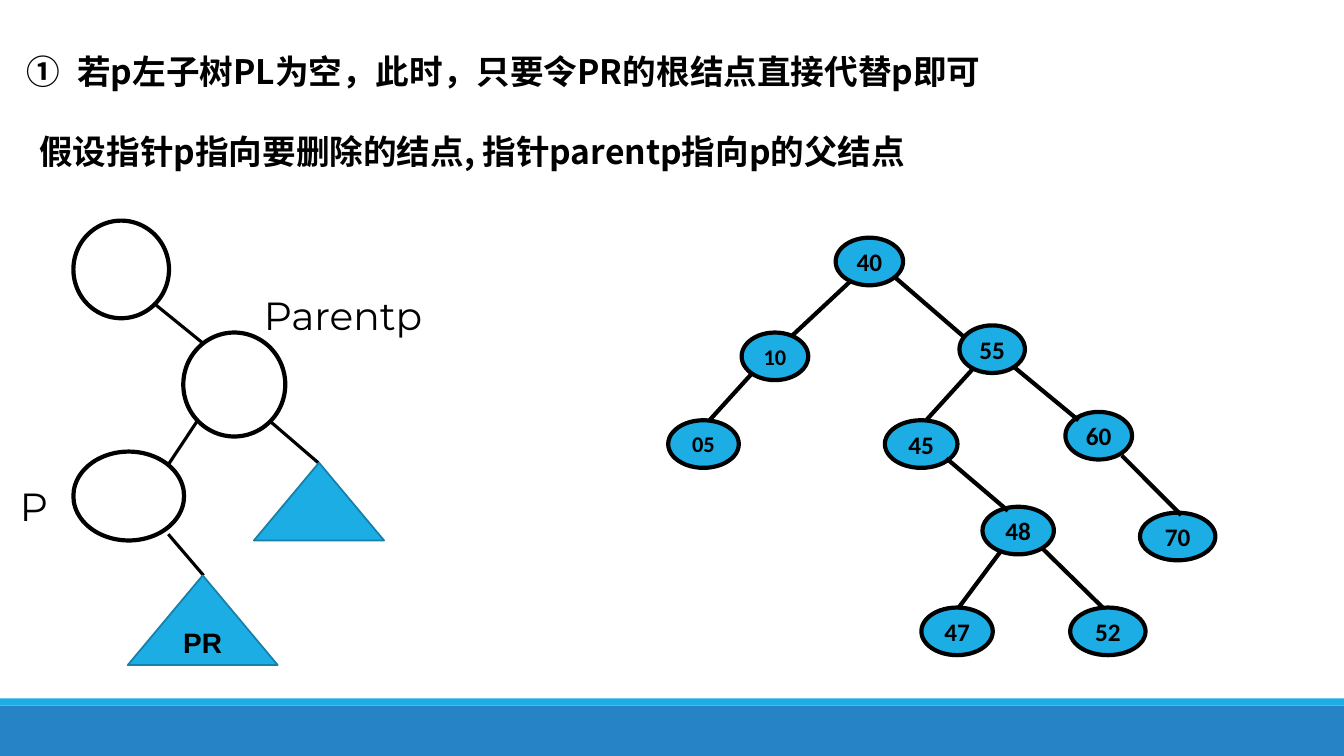
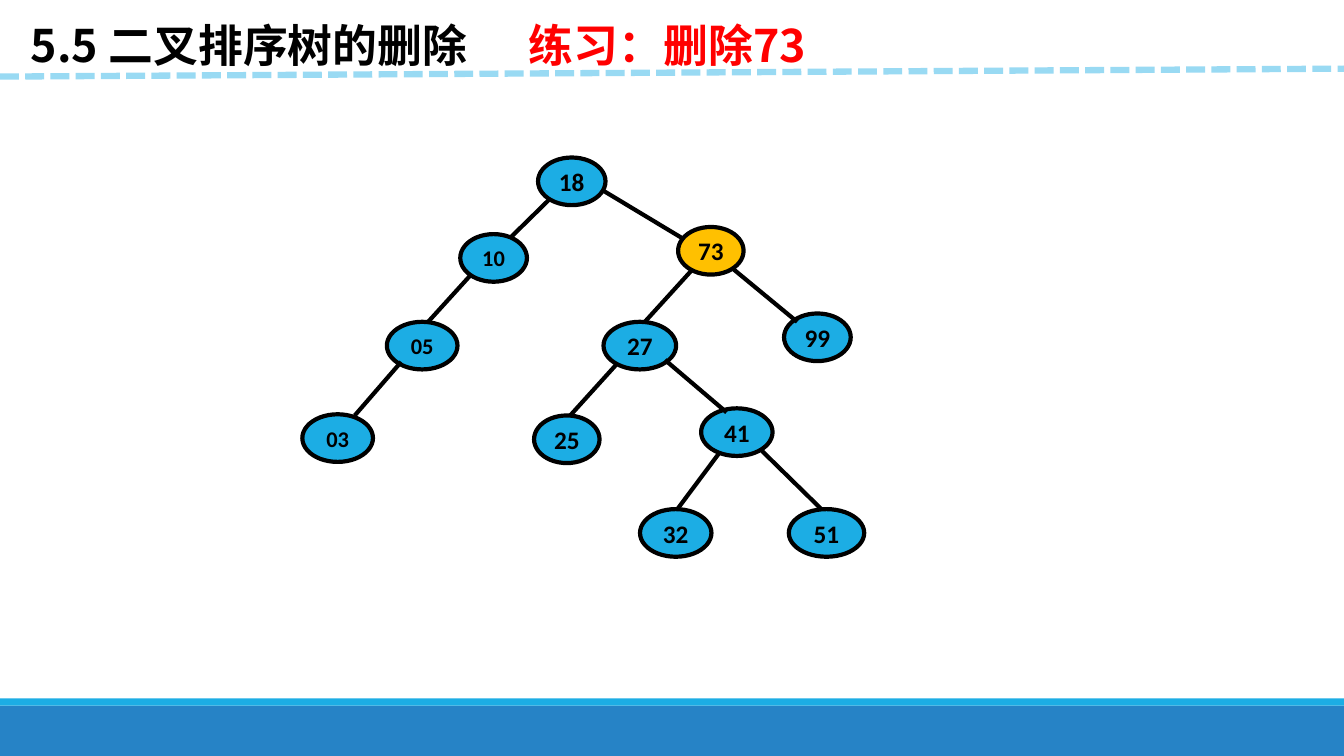
from lxml import etree
from pptx import Presentation
from pptx.dml.color import RGBColor
from pptx.enum.dml import MSO_LINE
from pptx.enum.shapes import MSO_CONNECTOR, MSO_SHAPE
from pptx.enum.text import MSO_ANCHOR, PP_ALIGN
from pptx.oxml.ns import qn
from pptx.util import Cm, Pt

RECT, OVAL = MSO_SHAPE.RECTANGLE, MSO_SHAPE.OVAL
PEAK = MSO_SHAPE.ISOSCELES_TRIANGLE
STRAIGHT = MSO_CONNECTOR.STRAIGHT
DASH = MSO_LINE.SQUARE_DOT
MID, TOP = MSO_ANCHOR.MIDDLE, MSO_ANCHOR.TOP
LEFT, CENTER, FULL = PP_ALIGN.LEFT, PP_ALIGN.CENTER, PP_ALIGN.JUSTIFY

BLACK = RGBColor(0x00, 0x00, 0x00)
WHITE = RGBColor(0xFF, 0xFF, 0xFF)
RED = RGBColor(0xFF, 0x00, 0x00)
GOLD = RGBColor(0xFF, 0xC0, 0x00)
SKY = RGBColor(0x1C, 0xAD, 0xE4)
BLUE = RGBColor(0x26, 0x83, 0xC6)
TEAL = RGBColor(0x15, 0x80, 0xA9)
PALE = RGBColor(0x99, 0xDA, 0xF3)

HAN = "Noto Sans CJK SC"
WIDE, HIGH = 33.87, 19.05
NODE_H = 1.2
SMALL = {"03", "05", "10"}

CORE_SPOTS = [
    (1.85, 0.18, 1.68), (0, 2.39, 1.78), (7.34, 0, 1.65), (10.01, 2.18, 1.68),
    (5.46, 2.39, 1.83), (7.92, 4.57, 1.8), (6.38, 7.11, 1.8), (10.13, 7.11, 1.9),
]
CORE_EDGES = [
    (2.13, 1.19, 1.04, 2.39), (7.7, 1.07, 6.5, 2.39), (8.74, 1.07, 10.34, 2.39),
    (7.01, 3.35, 8.56, 4.67), (9.45, 5.64, 10.95, 7.11), (8.38, 5.69, 7.32, 7.11),
]


def add_form(slide, kind, box, fill=None, edge=None, width=3):
    """Add a preset shape with an optional fill and outline."""
    form = slide.shapes.add_shape(kind, *map(Cm, box))
    form.shadow.inherit = False
    if fill is None:
        form.fill.background()
    else:
        form.fill.solid()
        form.fill.fore_color.rgb = fill
    if edge is None:
        form.line.fill.background()
    else:
        form.line.color.rgb = edge
        form.line.width = Pt(width)
    return form


def add_line(slide, ends, color=BLACK, width=3):
    """Add a straight connector without a shadow."""
    line = slide.shapes.add_connector(STRAIGHT, *map(Cm, ends))
    line.line.color.rgb = color
    line.line.width = Pt(width)
    etree.SubElement(line.element.spPr, qn("a:effectLst"))
    return line


def set_font(para, name, size, bold=True):
    """Set the black font of a whole paragraph."""
    font = para.font
    font.name, font.size, font.bold = name, Pt(size), bold
    font.color.rgb = BLACK
    if name == HAN:
        latin = para._p.pPr.find(qn("a:defRPr")).find(qn("a:latin"))
        east = etree.Element(qn("a:ea"), typeface=HAN)
        latin.addnext(east)


def set_text(form, text, name, size, align=CENTER, anchor=MID, bold=True):
    """Write one line of text into a shape."""
    frame = form.text_frame
    frame.vertical_anchor = anchor
    para = frame.paragraphs[0]
    para.text, para.alignment = text, align
    set_font(para, name, size, bold)


def add_bands(slide):
    """Draw the two bands at the foot of a slide."""
    add_form(slide, RECT, (0, 17.78, WIDE, 1.27), BLUE)
    add_form(slide, RECT, (0, 17.6, WIDE, 0.18), SKY)


def add_tree(slide, left, top, labels, extra, edges, mark=None):
    """Draw a search tree: the common core plus its own nodes and edges."""
    nodes = list(zip(labels, CORE_SPOTS)) + extra
    for label, (x, y, width) in nodes:
        fill = GOLD if label == mark else SKY
        box = (left + x, top + y, width, NODE_H)
        node = add_form(slide, OVAL, box, fill, BLACK)
        frame = node.text_frame
        frame.margin_left = frame.margin_right = 0
        set_text(node, label, "Calibri", 16 if label in SMALL else 18)
    for x1, y1, x2, y2 in CORE_EDGES + edges:
        add_line(slide, (left + x1, top + y1, left + x2, top + y2))


def add_scheme(slide, left, top):
    """Draw the parent, node and subtree scheme."""
    def place(x, y, width, height):
        """Shift a box into the scheme."""
        return left + x, top + y, width, height

    for text, box in [("Parentp", (6.15, 1.65, 5.33, 1.45)),
                      ("P", (0, 6.48, 1.45, 1.45))]:
        label = add_form(slide, RECT, place(*box), WHITE)
        set_text(label, text, "Montserrat", 28, FULL, TOP, False)
    for box in [(1.6, 0, 2.41, 2.46), (4.37, 2.82, 2.57, 2.62),
                (1.6, 5.82, 2.79, 2.24)]:
        add_form(slide, OVAL, place(*box), None, BLACK)
    for x1, y1, x2, y2 in [(6.55, 5.05, 7.77, 6.1), (4.72, 5.05, 3.99, 6.15),
                           (3.99, 7.9, 4.88, 8.94), (3.66, 2.11, 4.88, 3.1)]:
        ends = (left + x1, top + y1, left + x2, top + y2)
        add_line(slide, ends, width=2.25)
    root = add_form(slide, PEAK, place(2.97, 8.94, 3.78, 2.26), SKY, TEAL, 1.25)
    set_text(root, "PR", "Arial", 20)
    add_form(slide, PEAK, place(6.15, 6.1, 3.28, 1.96), SKY, TEAL, 1.25)


def add_note(slide, box, text, size=24, number=False, tab=None):
    """Add a bold Chinese text box, with a circled number or a tab stop."""
    note = slide.shapes.add_textbox(*map(Cm, box))
    frame = note.text_frame
    frame.word_wrap = True
    para = frame.paragraphs[0]
    para.text, para.alignment = text, LEFT
    para.line_spacing = Pt(size * 1.225)
    props = para._p.pPr
    if number:
        props.set("marL", str(Cm(1.27)))
        props.set("indent", str(Cm(-1.27)))
        etree.SubElement(props, qn("a:buAutoNum"), type="circleNumDbPlain")
    if tab:
        stops = etree.SubElement(props, qn("a:tabLst"))
        etree.SubElement(stops, qn("a:tab"), pos=str(Cm(tab)), algn="l")
    set_font(para, HAN, size)
    return para


def add_title(slide, box, text, task):
    """Add the slide title, its task in red and the dashed rule."""
    para = add_note(slide, box, text, 32, tab=12.55)
    run = para.add_run()
    run.text = "\t" + task
    run.font.color.rgb = RED
    rule = add_line(slide, (0, 1.93, WIDE, 1.73), PALE, 4.5)
    rule.line.dash_style = DASH


def case_slide(slide):
    """Build the slide on deleting a node without a left subtree."""
    add_bands(slide)
    add_note(slide, (0.43, 1.14, 26.06, 1.27),
             "若p左子树PL为空，此时，只要令PR的根结点直接代替p即可", number=True)
    add_note(slide, (0.74, 3.15, 23.6, 1.27),
             "假设指针p指向要删除的结点, 指针parentp指向p的父结点")
    add_tree(slide, 16.84, 8.2,
             ["10", "05", "55", "60", "45", "48", "47", "52"],
             [("40", (4.22, -2.21, 1.7)), ("70", (11.89, 4.72, 1.9))],
             [(4.62, -1.14, 3.1, 0.28), (5.74, -1.19, 7.44, 0.28),
              (11.43, 3.28, 12.93, 4.78)])
    add_scheme(slide, 0.25, 5.56)


def task_slide(slide):
    """Build the exercise slide."""
    add_bands(slide)
    add_tree(slide, 9.75, 5.72,
             ["10", "05", "73", "99", "27", "41", "32", "51"],
             [("18", (3.81, -1.75, 1.7)), ("25", (3.71, 4.75, 1.65)),
              ("03", (-2.13, 4.72, 1.78))],
             [(4.11, -0.71, 3.1, 0.28), (5.46, -0.91, 7.44, 0.28),
              (5.77, 3.48, 4.62, 4.75), (0.36, 3.4, -0.81, 4.75)], "73")
    add_title(slide, (0.53, 0.3, 21.21, 1.63), "5.5 二叉排序树的删除", "练习：删除73")


def main():
    """Build and save the deck."""
    deck = Presentation()
    deck.slide_width, deck.slide_height = Cm(WIDE), Cm(HIGH)
    for build in (case_slide, task_slide):
        build(deck.slides.add_slide(deck.slide_layouts[6]))
    deck.save("out.pptx")


if __name__ == "__main__":
    main()
